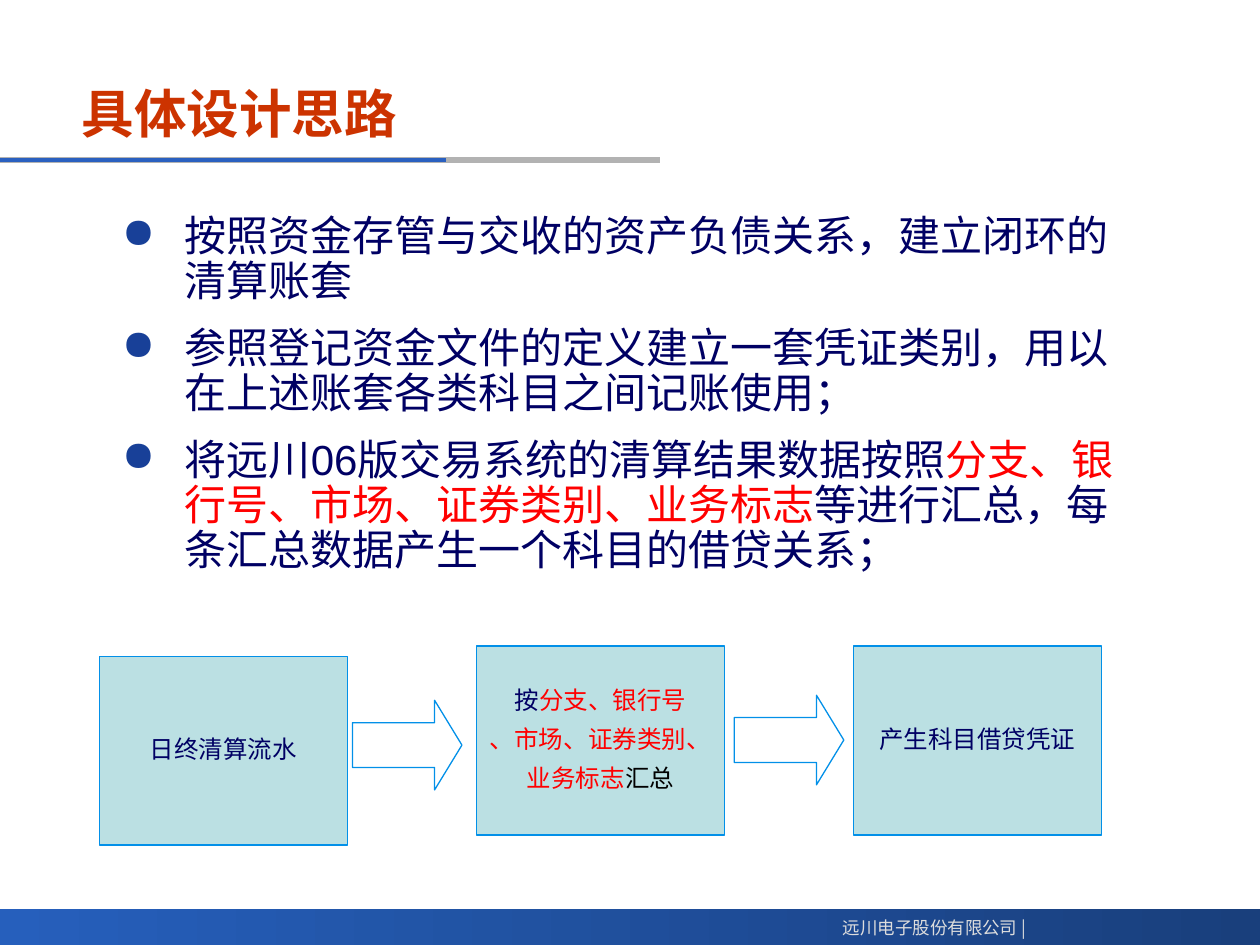
from dataclasses import dataclass

from lxml.etree import SubElement
from pptx import Presentation
from pptx.dml.color import RGBColor as Color
from pptx.enum.shapes import MSO_CONNECTOR as Connector, MSO_SHAPE as Shape
from pptx.enum.text import MSO_ANCHOR as Anchor, PP_ALIGN as Align
from pptx.oxml.ns import qn
from pptx.util import Pt


@dataclass(frozen=True)
class Theme:
    """Colours, fonts and type sizes of the slide."""
    latin: str = "Arial"
    chinese: str = "Noto Sans CJK SC"
    title: str = "CC3300"
    text: str = "000064"
    accent: str = "FF0000"
    black: str = "000000"
    bullet: str = "184098"
    footer: str = "DDDDDD"
    bar_left: str = "265FBC"
    bar_right: str = "193F7C"
    rule_blue: str = "2A60C0"
    rule_grey: str = "B2B2B2"
    box_fill: str = "BBE0E3"
    box_line: str = "0290E8"
    title_size: int = 30
    body_size: int = 24
    box_size: int = 14
    footer_size: int = 10


class SlideBuilder:
    """Draws styled elements on the current slide."""

    def __init__(self, slide, theme):
        self.slide = slide
        self.theme = theme

    def shape(self, kind, area, fill=None):
        shape = self.slide.shapes.add_shape(kind, *map(Pt, area))
        shape.shadow.inherit = False
        if fill:
            shape.fill.solid()
            shape.fill.fore_color.rgb = Color.from_string(fill)
        else:
            shape.fill.background()
        shape.line.color.rgb = Color.from_string(self.theme.box_line)
        shape.line.width = Pt(0.75)
        return shape

    def gradient_bar(self, area):
        bar = self.shape(Shape.RECTANGLE, area)
        bar.line.fill.background()
        bar.fill.gradient()
        bar.fill.gradient_angle = 0
        colours = (self.theme.bar_left, self.theme.bar_right)
        for stop, colour in zip(bar.fill.gradient_stops, colours):
            stop.color.rgb = Color.from_string(colour)

    def rule(self, top, width, colour, weight):
        line = self.slide.shapes.add_connector(
            Connector.STRAIGHT, Pt(0), Pt(top), Pt(width), Pt(top))
        line.line.color.rgb = Color.from_string(colour)
        line.line.width = Pt(weight)
        SubElement(line._element.spPr, qn("a:effectLst"))

    def add_spans(self, para, parts, size, bold=False, latin=None):
        for words, colour in parts:
            span = para.add_run()
            span.text = words
            span.font.size = Pt(size)
            span.font.bold = bold
            span.font.name = latin or self.theme.latin
            span.font.color.rgb = Color.from_string(colour)
            SubElement(span._r.get_or_add_rPr(), qn("a:ea"), typeface=self.theme.chinese)

    def paragraphs(self, frame, lines, size, gap, indent, align):
        for number, parts in enumerate(lines):
            para = frame.add_paragraph() if number else frame.paragraphs[0]
            para.alignment = align
            para.line_spacing = 0.9
            para.space_before = para.space_after = Pt(gap)
            settings = para._p.get_or_add_pPr()
            settings.set("marL", str(Pt(indent)))
            settings.set("indent", str(-Pt(indent)))
            self.add_spans(para, parts, size)

    def text_box(self, area, wrap=True):
        box = self.slide.shapes.add_textbox(*map(Pt, area))
        box.text_frame.word_wrap = wrap
        return box.text_frame

    def title(self, area, words):
        frame = self.text_box(area)
        frame.vertical_anchor = Anchor.MIDDLE
        parts = [(words, self.theme.title)]
        self.add_spans(frame.paragraphs[0], parts, self.theme.title_size, bold=True)

    def footer(self, area, words):
        para = self.text_box(area, wrap=False).paragraphs[0]
        para.alignment = Align.RIGHT
        parts = [(words, self.theme.footer)]
        self.add_spans(para, parts, self.theme.footer_size, latin=self.theme.chinese)

    def bullets(self, area, lines):
        frame = self.text_box(area)
        self.paragraphs(frame, lines, self.theme.body_size, 6, 36, Align.LEFT)
        for para in frame.paragraphs:
            settings = para._p.get_or_add_pPr()
            colour = SubElement(settings, qn("a:buClr"))
            SubElement(colour, qn("a:srgbClr"), val=self.theme.bullet)
            SubElement(settings, qn("a:buChar"), char="●")

    def step(self, area, lines):
        frame = self.shape(Shape.RECTANGLE, area, self.theme.box_fill).text_frame
        frame.word_wrap = False
        frame.vertical_anchor = Anchor.MIDDLE
        self.paragraphs(frame, lines, self.theme.box_size, 3.5, 27, Align.CENTER)

    def arrow(self, area):
        arrow = self.shape(Shape.RIGHT_ARROW, area)
        arrow.adjustments[0] = 0.5
        arrow.adjustments[1] = 0.305


def main():
    """Build the design approach slide."""
    theme = Theme()
    deck = Presentation()
    deck.slide_width, deck.slide_height = Pt(720), Pt(540)
    page = SlideBuilder(deck.slides.add_slide(deck.slide_layouts[6]), theme)
    text, accent = theme.text, theme.accent

    page.gradient_bar((0, 519.6, 720, 20.4))
    page.rule(91.4, 377, theme.rule_grey, 3)
    page.rule(91.4, 255, theme.rule_blue, 2.25)
    page.footer((470, 520.6, 123.3, 19.4), "远川电子股份有限公司 |")
    page.title((39.6, 40.3, 498, 48), "具体设计思路")
    page.bullets((62.6, 119.5, 598.4, 224), [
        [("按照资金存管与交收的资产负债关系，建立闭环的清算账套", text)],
        [("参照登记资金文件的定义建立一套凭证类别，用以在上述账套各类科目之间记账使用；", text)],
        [("将远川06版交易系统的清算结果数据按照", text),
         ("分支、银行号、市场、证券类别、业务标志", accent),
         ("等进行汇总，每条汇总数据产生一个科目的借贷关系；", text)],
    ])

    steps = [
        (375, [[("日终清算流水", text)]]),
        (369.2, [[("按", text), ("分支、银行号", accent)],
                 [("、市场、证券类别、", accent)],
                 [("业务标志", accent), ("汇总", theme.black)]]),
        (369.2, [[("产生科目借贷凭证", text)]]),
    ]
    for number, (top, lines) in enumerate(steps):
        page.step((56.8 + 215.4 * number, top, 141.9, 108), lines)
    for left, top in ((201.4, 400.2), (419.6, 397.3)):
        page.arrow((left, top, 62.6, 51.2))

    deck.save("out.pptx")


if __name__ == "__main__":
    main()
